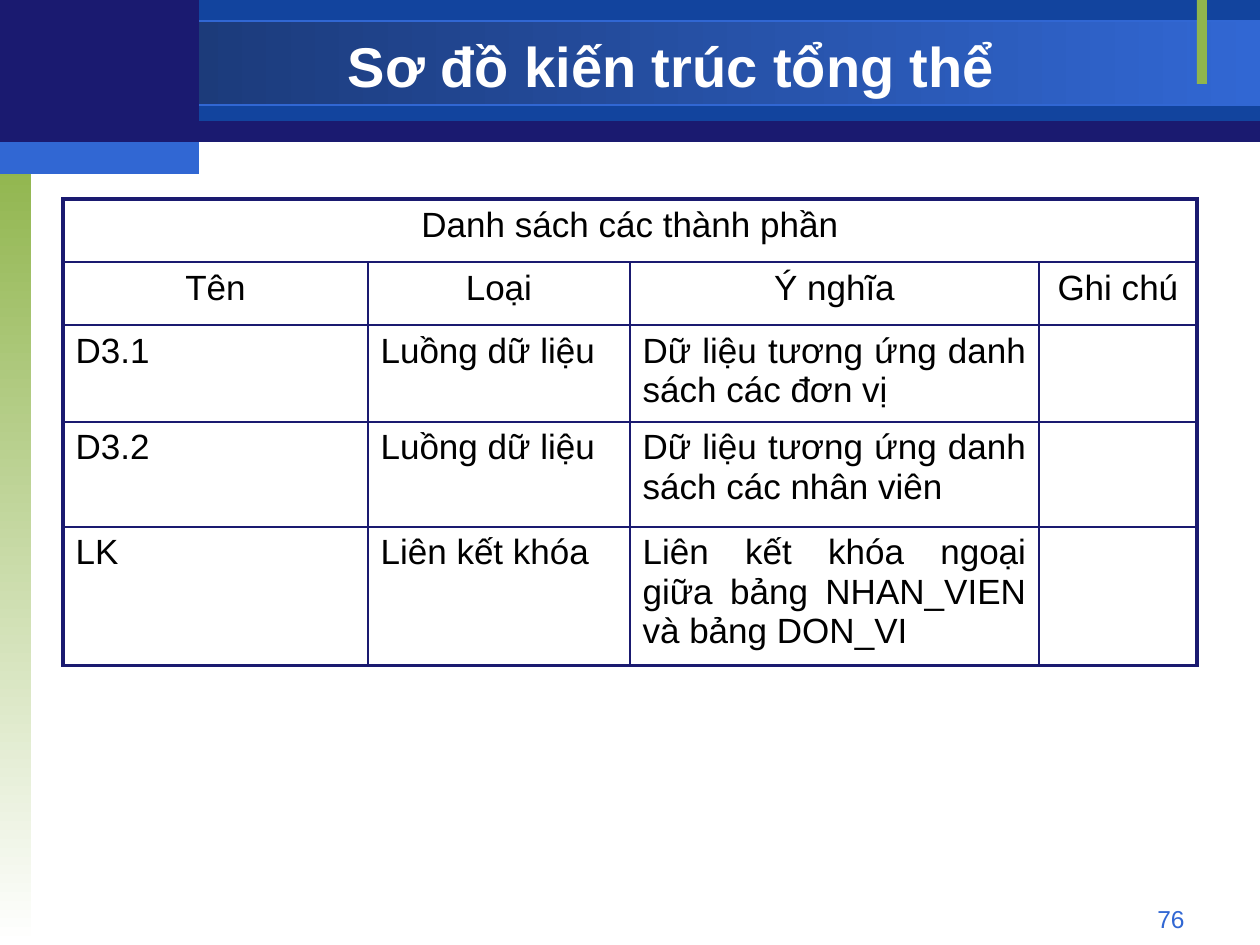
from lxml.etree import SubElement
from pptx import Presentation
from pptx.dml.color import RGBColor
from pptx.enum.shapes import MSO_SHAPE
from pptx.enum.text import MSO_ANCHOR, PP_ALIGN
from pptx.oxml.ns import qn
from pptx.util import Emu, Pt

NAVY, BLUE, SKY, GREEN = "1A1A70", "12449E", "3167D3", "90B54D"
LEFT, CENTER, RIGHT, JUSTIFY = PP_ALIGN.LEFT, PP_ALIGN.CENTER, PP_ALIGN.RIGHT, PP_ALIGN.JUSTIFY

# left, top, width, height, fill colours, gradient angle, line colour
BANDS = [
    (0, 1, 1260, 141, [NAVY], None, None),
    (199, 0, 1061, 121, [BLUE], None, None),
    (0, 21, 1260, 84, ["18336A", SKY], 0, SKY),
    (0, 158, 31, 787, [GREEN, "FFFFFF"], 270, None),
    (1197, 0, 10, 84, [GREEN], None, None),
    (0, 0, 199, 147, [NAVY], None, None),
    (0, 142, 199, 32, [SKY], None, None),
]
TITLE = "Sơ đồ kiến trúc tổng thể"
PAGE = "76"
CAPTION = "Danh sách các thành phần"
ROWS = [
    ("Tên", "Loại", "Ý nghĩa", "Ghi chú"),
    ("D3.1", "Luồng dữ liệu", "Dữ liệu tương ứng danh sách các đơn vị", ""),
    ("D3.2", "Luồng dữ liệu", "Dữ liệu tương ứng danh sách các nhân viên", ""),
    ("LK", "Liên kết khóa", "Liên kết khóa ngoại giữa bảng NHAN_VIEN và bảng DON_VI", ""),
]
COLS = [305, 262, 409, 158]
HEIGHTS = [63, 63, 97, 105, 138]
ALIGNS = [LEFT, LEFT, JUSTIFY, LEFT]


def px(n):
    return Emu(n * 914400 // 126)


def rgb(color):
    return RGBColor.from_string(color)


def write(tf, text, size=20, color="000000", bold=False, align=LEFT):
    tf.word_wrap = True
    p = tf.paragraphs[0]
    p.alignment = align
    r = p.add_run()
    r.text = text
    r.font.name, r.font.size, r.font.bold = "Arial", Pt(size), bold
    r.font.color.rgb = rgb(color)


def add_band(s, x, y, w, h, colors, angle, line):
    sp = s.shapes.add_shape(MSO_SHAPE.RECTANGLE, px(x), px(y), px(w), px(h))
    sp.shadow.inherit = False
    if angle is None:
        sp.fill.solid()
        sp.fill.fore_color.rgb = rgb(colors[0])
    else:
        sp.fill.gradient()
        sp.fill.gradient_angle = angle
        for stop, color, pos in zip(sp.fill.gradient_stops, colors, (0, 1)):
            stop.color.rgb, stop.position = rgb(color), pos
    if line:
        sp.line.color.rgb, sp.line.width = rgb(line), Pt(0.75)
    else:
        sp.line.fill.background()


def add_text(s, x, y, w, h, text, anchor=MSO_ANCHOR.TOP, **fmt):
    tf = s.shapes.add_textbox(px(x), px(y), px(w), px(h)).text_frame
    tf.vertical_anchor = anchor
    write(tf, text, **fmt)


def set_borders(cell, outer):
    tcPr = cell._tc.get_or_add_tcPr()
    for side, thick in zip("LRTB", outer):
        ln = SubElement(tcPr, qn(f"a:ln{side}"), w=str(Pt(2.25 if thick else 1)))
        SubElement(SubElement(ln, qn("a:solidFill")), qn("a:srgbClr"), val=NAVY)
    cell.fill.background()


def add_grid(s, x, y):
    n, m = len(HEIGHTS), len(COLS)
    table = s.shapes.add_table(n, m, px(x), px(y), px(sum(COLS)), px(sum(HEIGHTS))).table
    table.first_row = table.horz_banding = False
    for col, w in zip(table.columns, COLS):
        col.width = px(w)
    for row, h in zip(table.rows, HEIGHTS):
        row.height = px(h)
    table.cell(0, 0).merge(table.cell(0, m - 1))
    write(table.cell(0, 0).text_frame, CAPTION, align=CENTER)
    for i in range(n):
        for j in range(m):
            cell = table.cell(i, j)
            set_borders(cell, (j == 0, i == 0 or j == m - 1, i == 0, i == n - 1))
            if i and ROWS[i - 1][j]:
                write(cell.text_frame, ROWS[i - 1][j], align=CENTER if i == 1 else ALIGNS[j])


def main():
    """Build the slide with the component table and save it."""
    prs = Presentation()
    prs.slide_width, prs.slide_height = px(1260), px(945)
    s = prs.slides.add_slide(prs.slide_layouts[6])
    for band in BANDS:
        add_band(s, *band)
    add_text(s, 903, 898, 294, 34, PAGE, size=14, color=SKY, align=RIGHT)
    add_text(s, 199, 29, 945, 73, TITLE, anchor=MSO_ANCHOR.MIDDLE,
             size=32, color="FFFFFF", bold=True, align=CENTER)
    add_grid(s, 63, 199)
    prs.save("out.pptx")


if __name__ == "__main__":
    main()
